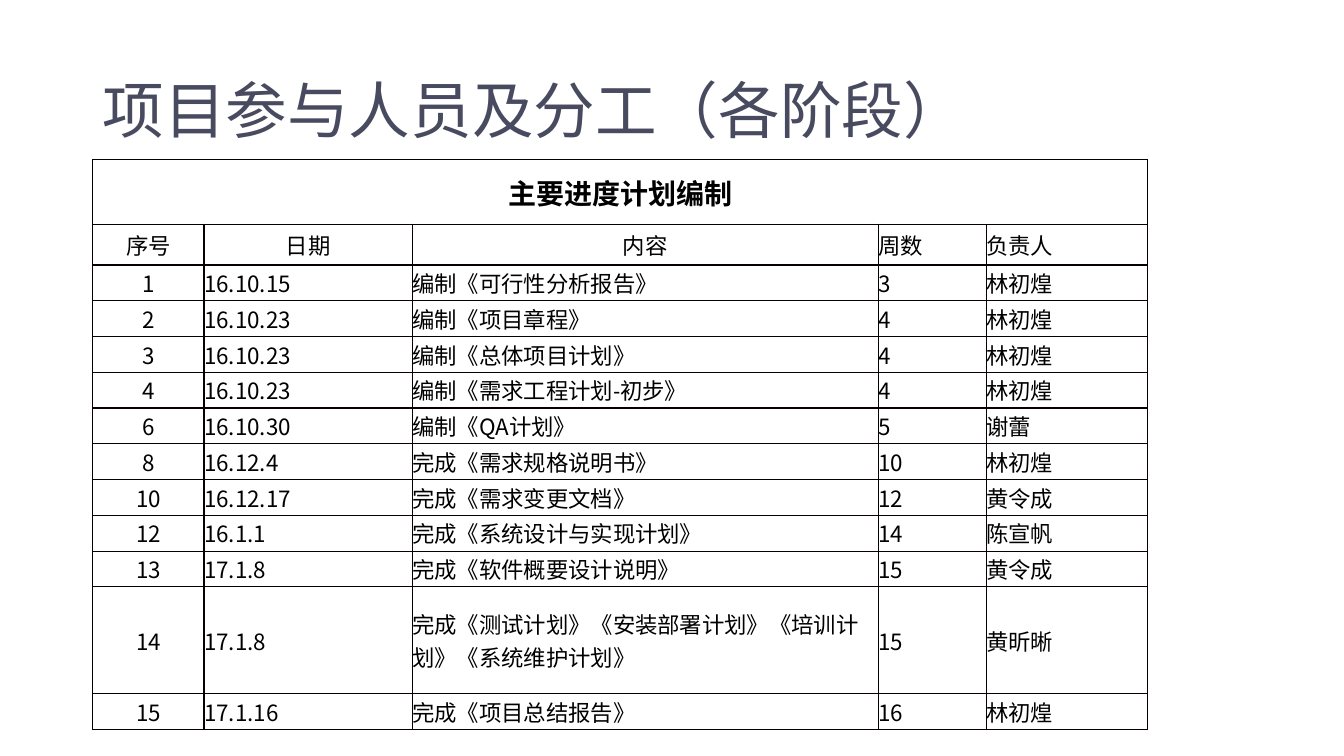
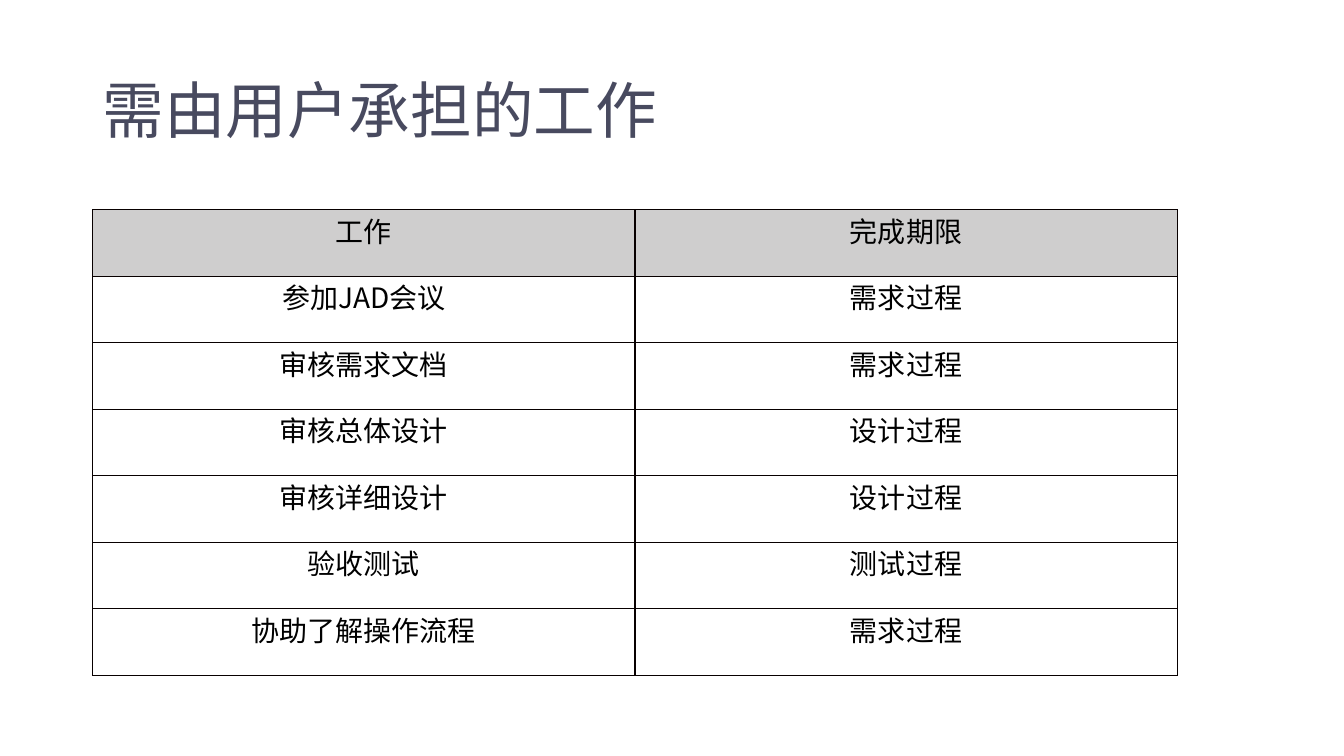
import lxml.etree
import pptx
import pptx.dml.color
import pptx.enum.text
import pptx.oxml.ns
import pptx.util

PX = 914400 // 200  # 200 px to the inch
SLIDE_SIZE = (2667, 1500)
TITLE_BOX = (184, 80, 2300, 290)
TABLE_LEFT = 184

INK, TITLE_INK, BORDER = "000000", "484A5F", "080000"
PAPER, HEADER_FILL = "FFFFFF", "CFCECE"
BODY_FONT, TITLE_FONT, HYPHEN_FONT = "Noto Sans CJK SC", "Arial", "Calibri"
THIN, THICK = 0.75, 1

ALIGN = pptx.enum.text.PP_ALIGN
ANCHOR = pptx.enum.text.MSO_ANCHOR

SCHEDULE_TITLE = "主要进度计划编制"
SCHEDULE_COLUMNS = (221, 413, 925, 214, 321)
SCHEDULE_HEADS = ("序号", "日期", "内容", "周数", "负责人")
SCHEDULE = [
    ("1", "16.10.15", "编制《可行性分析报告》", "3", "林初煌"),
    ("2", "16.10.23", "编制《项目章程》", "4", "林初煌"),
    ("3", "16.10.23", "编制《总体项目计划》", "4", "林初煌"),
    ("4", "16.10.23", "编制《需求工程计划-初步》", "4", "林初煌"),
    ("6", "16.10.30", "编制《QA计划》", "5", "谢蕾"),
    ("8", "16.12.4", "完成《需求规格说明书》", "10", "林初煌"),
    ("10", "16.12.17", "完成《需求变更文档》", "12", "黄令成"),
    ("12", "16.1.1", "完成《系统设计与实现计划》", "14", "陈宣帆"),
    ("13", "17.1.8", "完成《软件概要设计说明》", "15", "黄令成"),
    ("14", "17.1.8", "完成《测试计划》《安装部署计划》《培训计划》《系统维护计划》", "15", "黄昕晰"),
    ("15", "17.1.16", "完成《项目总结报告》", "16", "林初煌"),
]
USER_TASKS = [
    ("工作", "完成期限"),
    ("参加JAD会议", "需求过程"),
    ("审核需求文档", "需求过程"),
    ("审核总体设计", "设计过程"),
    ("审核详细设计", "设计过程"),
    ("验收测试", "测试过程"),
    ("协助了解操作流程", "需求过程"),
]


def px(length):
    return pptx.util.Emu(length * PX)


def color(value):
    return pptx.dml.color.RGBColor.from_string(value)


def add_element(parent, tag, **attributes):
    return lxml.etree.SubElement(parent, pptx.oxml.ns.qn(tag), attributes)


def style_paragraph(para, name, size, ink, bold=False):
    """Set one font for Latin and East Asian text alike."""
    font = para.font
    font.name, font.size, font.bold = name, pptx.util.Pt(size), bold
    font.color.rgb = color(ink)
    east_asian = add_element(para._p.pPr.defRPr, "a:ea", typeface=name)
    font._element.find(pptx.oxml.ns.qn("a:latin")).addnext(east_asian)


def add_title(page, text):
    box = page.shapes.add_textbox(*map(px, TITLE_BOX))
    frame = box.text_frame
    frame.word_wrap = True
    frame.vertical_anchor = ANCHOR.MIDDLE
    para = frame.paragraphs[0]
    para.text = text
    para.line_spacing = 0.9
    style_paragraph(para, TITLE_FONT, 44, TITLE_INK)


def set_borders(cell, left, right):
    """Draw four borders, the sides with the given widths in points."""
    properties = cell._tc.get_or_add_tcPr()
    sides = (("L", left), ("R", right), ("T", THICK), ("B", THICK))
    for index, (side, width) in enumerate(sides):
        line = add_element(properties, f"a:ln{side}", w=str(pptx.util.Pt(width)))
        add_element(add_element(line, "a:solidFill"), "a:srgbClr", val=BORDER)
        properties.insert(index, line)


def fill_cell(cell, text, size, align, anchor, fill=PAPER, bold=False):
    cell.margin_left = cell.margin_right = cell.margin_top = cell.margin_bottom = 0
    cell.vertical_anchor = anchor
    cell.fill.solid()
    cell.fill.fore_color.rgb = color(fill)
    para = cell.text_frame.paragraphs[0]
    para.alignment = align
    before, hyphen, after = text.partition("-")
    for part in filter(None, (before, hyphen, after)):
        span = para.add_run()
        span.text = part
        if part == "-":
            span.font.name = HYPHEN_FONT
    style_paragraph(para, BODY_FONT, size, INK, bold)


def add_grid(page, top, widths, heights, thick_edges):
    """Add a bordered table; thick_edges numbers its thick vertical lines."""
    table = page.shapes.add_table(
        len(heights), len(widths), px(TABLE_LEFT), px(top), px(sum(widths)), px(sum(heights))
    ).table
    table.first_row = table.horz_banding = False
    for column, width in zip(table.columns, widths):
        column.width = px(width)
    edges = [THICK if edge in thick_edges else THIN for edge in range(len(widths) + 1)]
    for row, height in zip(table.rows, heights):
        row.height = px(height)
        for cell, left, right in zip(row.cells, edges, edges[1:]):
            set_borders(cell, left, right)
    return table


def add_schedule_table(page, top):
    heights = [129, 81] + [71] * 9 + [212, 71]
    table = add_grid(page, top, SCHEDULE_COLUMNS, heights, thick_edges={1})
    heading = table.cell(0, 0)
    heading.merge(table.cell(0, len(SCHEDULE_COLUMNS) - 1))
    fill_cell(heading, SCHEDULE_TITLE, 20, ALIGN.CENTER, ANCHOR.MIDDLE, bold=True)
    for row, values in enumerate([SCHEDULE_HEADS] + SCHEDULE, start=1):
        centred = 3 if row == 1 else 1
        for column, text in enumerate(values):
            align = ALIGN.CENTER if column < centred else ALIGN.LEFT
            fill_cell(table.cell(row, column), text, 16, align, ANCHOR.MIDDLE)


def add_task_table(page, top):
    table = add_grid(page, top, [1076] * 2, [132] * len(USER_TASKS), thick_edges={0, 1})
    for row, values in enumerate(USER_TASKS):
        fill = PAPER if row else HEADER_FILL
        for column, text in enumerate(values):
            fill_cell(table.cell(row, column), text, 20, ALIGN.CENTER, ANCHOR.TOP, fill)


def add_page(deck, title, add_table, top):
    page = deck.slides.add_slide(deck.slide_layouts[6])
    add_title(page, title)
    add_table(page, top)


def main():
    deck = pptx.Presentation()
    deck.slide_width, deck.slide_height = map(px, SLIDE_SIZE)
    add_page(deck, "项目参与人员及分工（各阶段）", add_schedule_table, 316)
    add_page(deck, "需由用户承担的工作", add_task_table, 416)
    deck.save("out.pptx")


if __name__ == "__main__":
    main()
